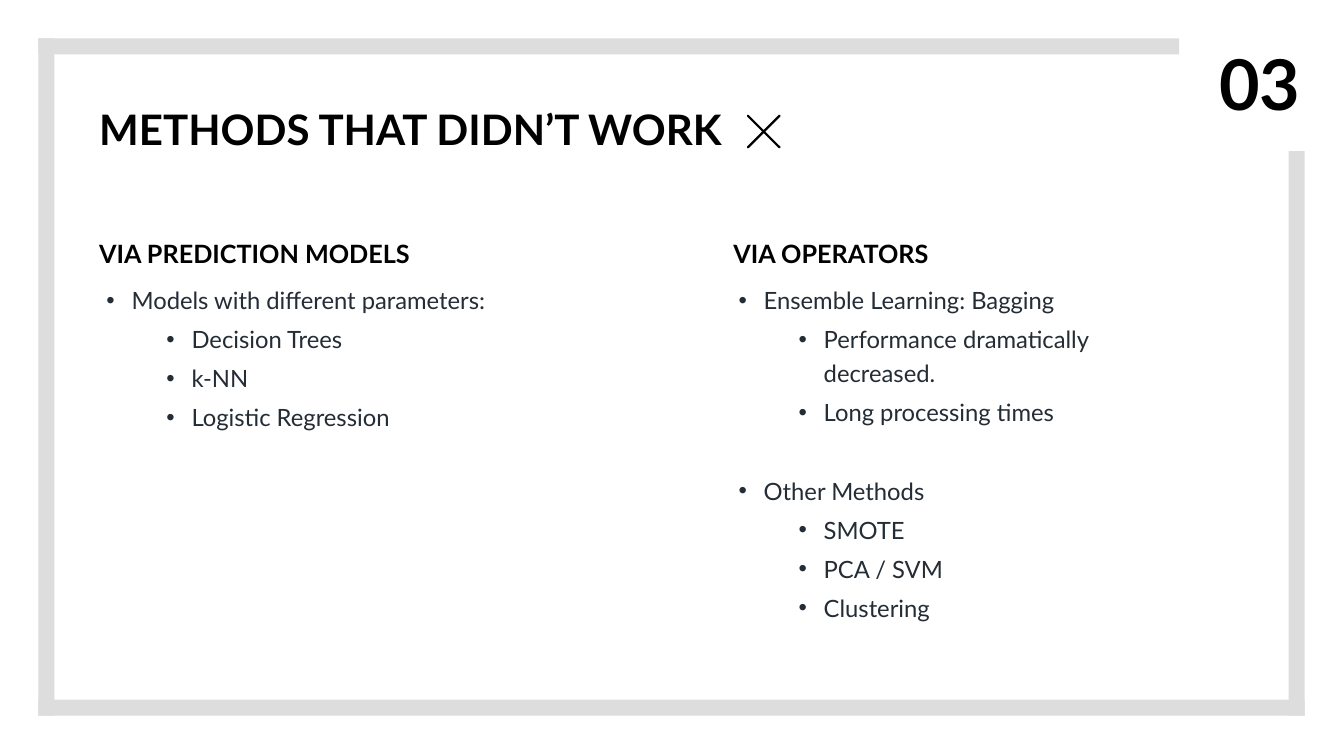
"""Build the slide on methods that did not work, with a grey frame and two bullet lists."""
from lxml.etree import SubElement
from pptx import Presentation
from pptx.dml.color import RGBColor
from pptx.enum.shapes import MSO_SHAPE
from pptx.enum.text import PP_ALIGN
from pptx.oxml.ns import qn
from pptx.util import Inches, Pt

BLACK, SLATE, GREY = "000000", "242C35", "DDDDDD"


def color(code):
    return RGBColor.from_string(code)


def add_text(box, pad, lines, size, ink, bold=False):
    frame = slide.shapes.add_textbox(*[Inches(n) for n in box]).text_frame
    frame.word_wrap = True
    frame.margin_left = frame.margin_right = Inches(pad)
    frame.margin_top = frame.margin_bottom = Inches(pad / 2)
    for i, line in enumerate(lines):
        para = frame.paragraphs[0] if i == 0 else frame.add_paragraph()
        run = para.add_run()
        run.text = line
        run.font.name = "Lato"
        run.font.size = Pt(size)
        run.font.bold = bold
        run.font.color.rgb = color(ink)
    return frame.paragraphs


deck = Presentation()
deck.slide_width, deck.slide_height = Inches(26.66), Inches(15)
slide = deck.slides.add_slide(deck.slide_layouts[6])

heads = [
    ((1.87, 2.01, 12.85, 1.11), "METHODS THAT DIDN’T WORK", 60),
    ((1.87, 4.68, 6.78, 0.71), "VIA PREDICTION MODELS", 36),
    ((14.45, 4.68, 8.55, 0.71), "VIA OPERATORS", 36),
]
for box, label, size in heads:
    add_text(box, 0.1, [label], size, BLACK, True)

lists = [
    ((1.87, 5.44, 10.05, 4.91), [
        ("Models with different parameters:", 0),
        ("Decision Trees", 1),
        ("k-NN", 1),
        ("Logistic Regression", 1),
    ]),
    ((14.41, 5.44, 8.84, 6.17), [
        ("Ensemble Learning: Bagging", 0),
        ("Performance dramatically decreased.", 1),
        ("Long processing times", 1),
        ("Other Methods", 0),
        ("SMOTE", 1),
        ("PCA / SVM", 1),
        ("Clustering", 1),
    ]),
]
for box, items in lists:
    paras = add_text(box, 0.24, [line for line, level in items], 34, SLATE)
    for i, (para, (line, level)) in enumerate(zip(paras, items)):
        para.level = level
        para.line_spacing = 1.2
        if i:
            para.space_before = Pt(6.8 if level else 62.6)
        props = para._p.get_or_add_pPr()
        props.set("marL", str(Inches(1.69 if level else 0.5)))
        props.set("indent", str(Inches(-0.5)))
        tint = SubElement(props, qn("a:buClr"))
        SubElement(tint, qn("a:srgbClr"), val=SLATE)
        SubElement(props, qn("a:buFont"), typeface="Arial")
        SubElement(props, qn("a:buChar"), char="•")

border = slide.shapes.add_group_shape()
bars = [
    (0.76, 0.76, 22.63, 0.32),
    (0.76, 13.88, 25.12, 0.32),
    (0.76, 0.76, 0.32, 13.44),
    (25.56, 3, 0.32, 11.2),
]
for box in bars:
    bar = border.shapes.add_shape(MSO_SHAPE.RECTANGLE, *[Inches(n) for n in box])
    bar.shadow.inherit = False
    bar.fill.solid()
    bar.fill.fore_color.rgb = color(GREY)
    bar.line.fill.background()

number = add_text((23.67, 0.76, 2.22, 1.78), 0.1, ["03"], 100, BLACK, True)
number[0].alignment = PP_ALIGN.RIGHT

arm = [(0, -0.03), (0.3, -0.33), (0.33, -0.33), (0.33, -0.3)]
points = []
for turn in range(4):
    points += [(Inches(15.15 + x), Inches(2.61 + y)) for x, y in arm]
    arm = [(-y, x) for x, y in arm]
pen = slide.shapes.build_freeform(*points[0])
pen.add_line_segments(points[1:], close=True)
cross = pen.convert_to_shape()
cross.shadow.inherit = False
cross.fill.solid()
cross.fill.fore_color.rgb = color(BLACK)
cross.line.fill.background()

deck.save("out.pptx")
